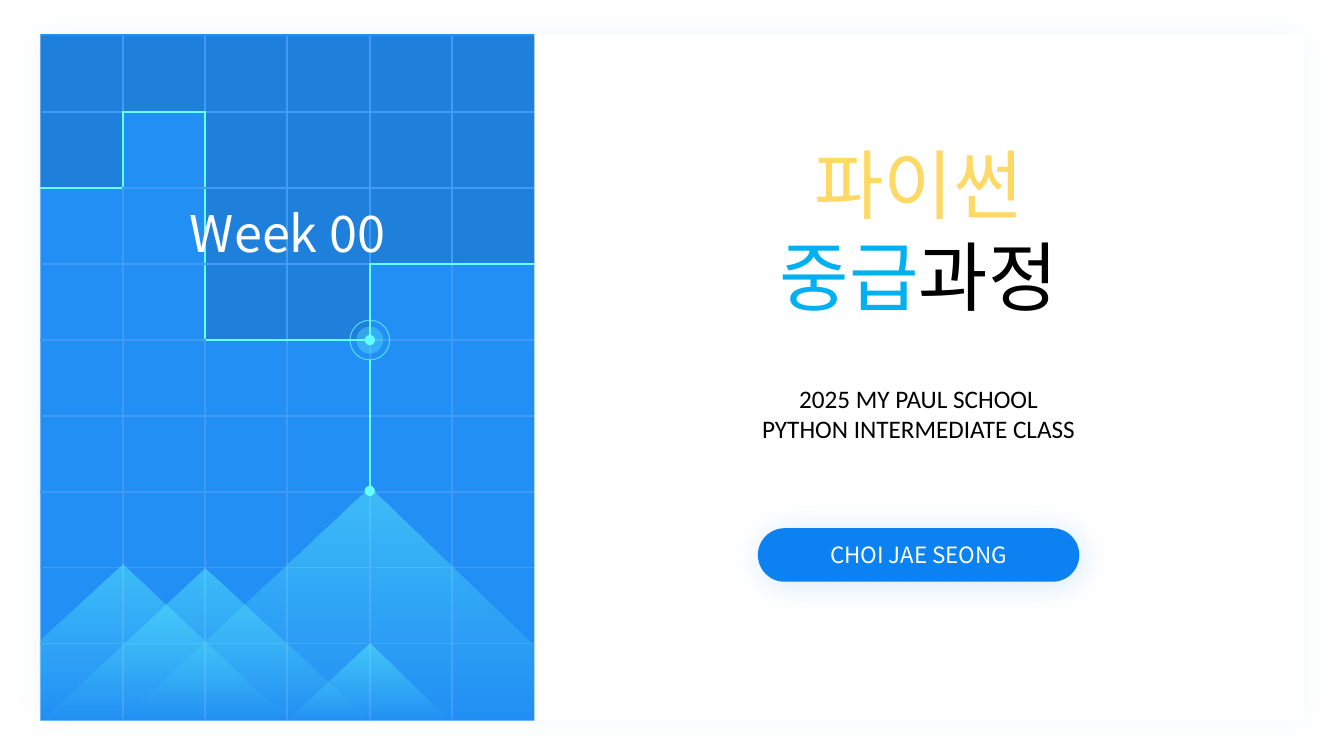
from itertools import product

from lxml.etree import SubElement
from pptx import Presentation
from pptx.dml.color import RGBColor as Rgb
from pptx.enum.shapes import MSO_CONNECTOR as Wire, MSO_SHAPE as Kind
from pptx.enum.text import MSO_ANCHOR as Anchor, MSO_AUTO_SIZE as Fit, PP_ALIGN as Align
from pptx.oxml import parse_xml
from pptx.oxml.ns import nsdecls, qn
from pptx.util import Cm, Pt

HUES = {
    "white": "FFFFFF", "black": "000000", "panel": "228FF4", "blue": "0C81F2",
    "grid": "409BF6", "cyan": "66FFFF", "gold": "FFD966", "sky": "00B0F0",
}
SANS, LATIN = "Noto Sans CJK KR", "Calibri"


def hue(name):
    """Return the named colour."""
    return Rgb.from_string(HUES[name])


def fade(fill, pct):
    """Set the opacity of every colour inside a fill element."""
    for tint in fill.iter(qn("a:srgbClr")):
        SubElement(tint, qn("a:alpha")).set("val", str(pct * 1000))


class Deck:
    """Hold the style and the current slide."""

    def __init__(self):
        """Open a cover slide."""
        self.file = Presentation()
        self.file.slide_width, self.file.slide_height = Cm(33.87), Cm(19.05)
        self.slide = self.file.slides.add_slide(self.file.slide_layouts[0])
        self.shapes = self.slide.shapes

    def paint(self, shape, fill=None, line=None, pct=100):
        """Give a shape a flat fill or a thin outline, without shadow."""
        shape.shadow.inherit = False
        props = shape.element.spPr
        if fill:
            shape.fill.solid()
            shape.fill.fore_color.rgb = hue(fill)
            fade(props.find(qn("a:solidFill")), pct)
        else:
            shape.fill.background()
        if line:
            shape.line.color.rgb = hue(line)
            shape.line.width = Pt(0.75)
            fade(props.find(qn("a:ln")), pct)
        else:
            shape.line.fill.background()
        return shape

    def block(self, box, fill, kind=Kind.RECTANGLE):
        """Add a filled block."""
        return self.paint(self.shapes.add_shape(kind, *map(Cm, box)), fill)

    def glow(self, shape, pct, blur, dist=0, turn=0):
        """Add a soft blue shadow."""
        effects = shape.element.spPr.find(qn("a:effectLst"))
        cast = parse_xml(
            f'<a:outerShdw {nsdecls("a")} blurRad="{Pt(blur)}" dist="{Pt(dist)}" '
            f'dir="{turn * 60000}" algn="ctr" rotWithShape="0">'
            f'<a:srgbClr val="{HUES["blue"]}"/></a:outerShdw>')
        fade(cast, pct)
        effects.append(cast)

    def disc(self, x, y, radius, **look):
        """Add a circle around a centre."""
        box = (x - radius, y - radius, 2 * radius, 2 * radius)
        self.paint(self.shapes.add_shape(Kind.OVAL, *map(Cm, box)), **look)

    def wire(self, x, top, end):
        """Add an upright cyan line."""
        line = self.shapes.add_connector(Wire.STRAIGHT, Cm(x), Cm(top), Cm(x), Cm(end))
        line.line.color.rgb = hue("cyan")
        line.line.width = Pt(1.5)
        SubElement(line.element.spPr, qn("a:effectLst"))

    def peak(self, points):
        """Add a mountain that fades out downwards."""
        spots = [(Cm(x), Cm(y)) for x, y in points]
        edge = self.shapes.build_freeform(*spots[0], scale=1.0)
        edge.add_line_segments(spots[1:], close=True)
        shape = self.paint(edge.convert_to_shape())
        shape.fill.gradient()
        shape.fill.gradient_angle = 270
        for place, stop in enumerate(shape.fill.gradient_stops):
            stop.color.rgb = hue("cyan")
            stop.position = place
        grad = shape.element.spPr.find(qn("a:gradFill"))
        for node, pct in zip(grad.iter(qn("a:gs")), (41, 0)):
            fade(node, pct)

    def grid(self, box, rows):
        """Add a table whose dark cells (#) are edged in cyan."""
        high, wide = len(rows), len(rows[0])
        frame = self.shapes.add_table(high, wide, *map(Cm, box))
        table = frame.table
        table.first_row = table.horz_banding = False
        for col in table.columns:
            col.width = Cm(box[2] / wide)
        for row in table.rows:
            row.height = Cm(box[3] / high)
        sides = {"L": (0, -1), "R": (0, 1), "T": (-1, 0), "B": (1, 0)}
        nodes = frame.element.iter(qn("a:tc"))
        for (r, c), node in zip(product(range(high), range(wide)), nodes):
            fill = table.cell(r, c).fill
            if rows[r][c] == "#":
                fill.solid()
                fill.fore_color.rgb = hue("black")
                fade(node.tcPr, 10)
            else:
                fill.background()
            for spot, (side, (down, right)) in enumerate(sides.items()):
                y, x = r + down, c + right
                ink = "<a:noFill/>"
                if 0 <= y < high and 0 <= x < wide:
                    tone = "grid" if rows[y][x] == rows[r][c] else "cyan"
                    ink = f'<a:solidFill><a:srgbClr val="{HUES[tone]}"/></a:solidFill>'
                node.tcPr.insert(spot, parse_xml(
                    f'<a:ln{side} {nsdecls("a")} w="{Pt(1.5)}">{ink}</a:ln{side}>'))

    def words(self, shape, lines, size, font=SANS, pitch=None, anchor=Anchor.TOP):
        """Set centred lines, each a list of (text, colour) runs."""
        frame = shape.text_frame
        frame.word_wrap = True
        frame.auto_size = Fit.NONE
        frame.vertical_anchor = anchor
        frame.text = "\n".join(line[0][0] for line in lines)
        for para, line in zip(frame.paragraphs, lines):
            para.alignment = Align.CENTER
            para.space_before = Pt(0)
            if pitch:
                para.line_spacing = Pt(pitch)
            for word, _ in line[1:]:
                para.add_run().text = word
            for run, (_, tone) in zip(para.runs, line):
                run.font.size = Pt(size)
                run.font.name = font
                run.font.color.rgb = hue(tone)
        for props in shape.element.iter(qn("a:rPr")):
            SubElement(props, qn("a:ea")).set("typeface", font)

    def label(self, box, lines, size, **look):
        """Add a text box."""
        self.words(self.shapes.add_textbox(*map(Cm, box)), lines, size, **look)

    def holder(self, index, box, lines, size, **look):
        """Move a placeholder to the front and fill it."""
        shape = self.slide.placeholders[index]
        shape.left, shape.top, shape.width, shape.height = map(Cm, box)
        shape.element.getparent().append(shape.element)
        self.words(shape, lines, size, **look)


def main():
    """Build the cover slide."""
    deck = Deck()
    deck.glow(deck.block((1.02, 0.86, 31.85, 17.3), "white"), 5, 20)
    deck.block((1.02, 0.86, 12.45, 17.3), "panel")
    pill = deck.block((19.1, 13.31, 8.1, 1.35), "blue", Kind.ROUNDED_RECTANGLE)
    pill.adjustments[0] = 0.5
    deck.glow(pill, 17, 24, 3, 45)
    deck.words(pill, [[("CHOI JAE SEONG", "white")]], 16, anchor=Anchor.MIDDLE)

    deck.grid((1.02, 0.91, 12.45, 17.22),
              ["######", "#.####", "..####", "..##.."] + ["......"] * 5)
    deck.label((1.02, 4.9, 12.45, 1.8), [[("Week 00", "white")]], 36, pitch=45)

    x, y = 9.32, 8.57
    deck.disc(x, y, 0.34, fill="cyan", pct=30)
    deck.disc(x, y, 0.5, line="cyan", pct=70)
    deck.wire(x, y + 0.5, 12.29)
    deck.disc(x, y, 0.13, fill="cyan")
    for points in (
        [(1, 18.11), (1, 16.15), (3.1, 14.22), (7.29, 18.16)],
        [(3.05, 18.16), (x, 12.29), (13.44, 16.26), (13.44, 18.14)],
        [(1.02, 18.19), (5.16, 14.33), (9.35, 18.19)],
        [(7.21, 18.16), (x, 16.21), (11.38, 18.21)],
    ):
        deck.peak(points)
    deck.disc(x, 12.37, 0.13, fill="cyan")

    deck.holder(0, (14.68, 3.3, 16.94, 4.88),
                [[("파이썬", "gold")], [("중급", "sky"), ("과정", "black")]], 54, pitch=66)
    deck.holder(1, (14.68, 9.53, 16.94, 1.8),
                [[("2025 MY PAUL SCHOOL", "black")],
                 [("PYTHON INTERMEDIATE CLASS", "black")]], 18, font=LATIN)
    deck.file.save("out.pptx")


if __name__ == "__main__":
    main()
